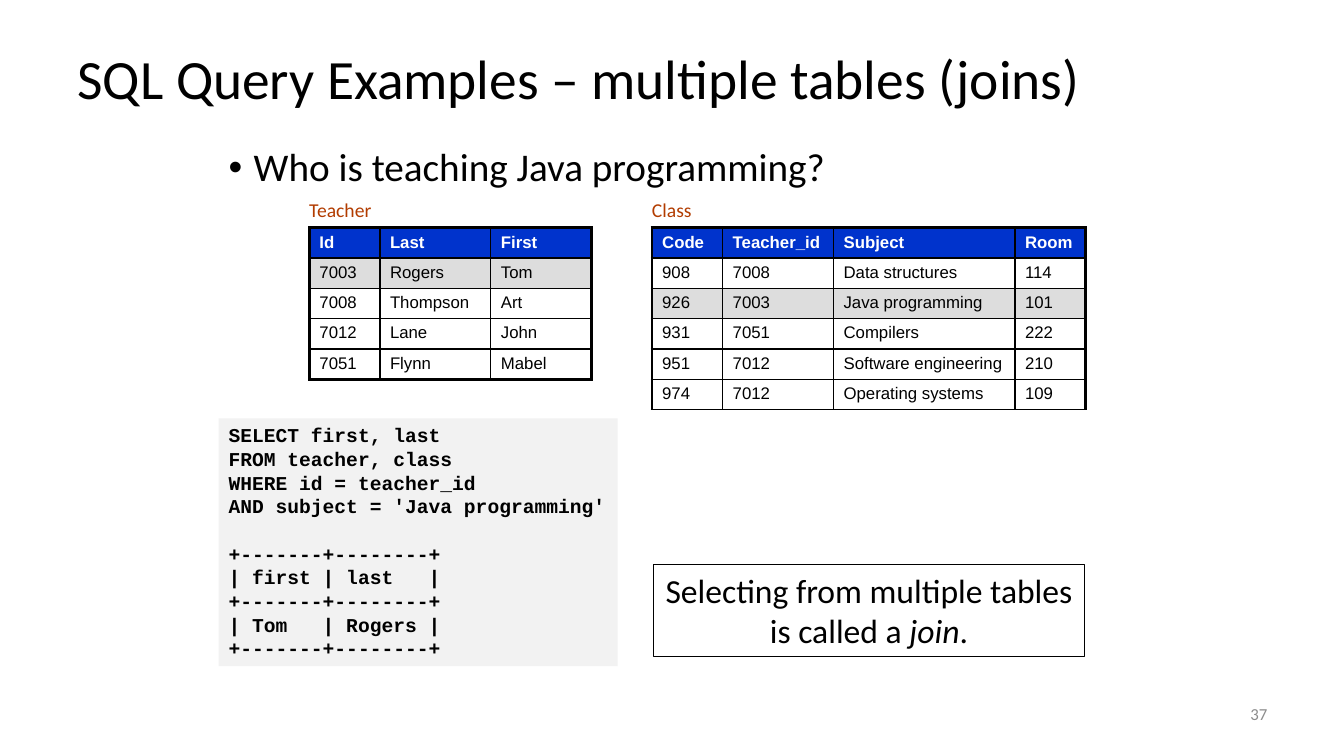
from dataclasses import dataclass

from lxml.etree import SubElement
from pptx import Presentation
from pptx.dml.color import RGBColor
from pptx.enum.shapes import MSO_SHAPE as Shape
from pptx.enum.text import MSO_ANCHOR as Anchor, PP_ALIGN as Align
from pptx.oxml.ns import qn
from pptx.util import Pt

TITLE = "SQL Query Examples – multiple tables (joins)"
QUESTION = "Who is teaching Java programming?"
PAGE = "37"
TABLES = [
    {
        "name": "Teacher", "left": 221, "widths": [50.4, 79.2, 72],
        "highlight": 1, "bottom": 2.25,
        "rows": [
            ("Id", "Last", "First"),
            ("7003", "Rogers", "Tom"),
            ("7008", "Thompson", "Art"),
            ("7012", "Lane", "John"),
            ("7051", "Flynn", "Mabel"),
        ],
    },
    {
        "name": "Class", "left": 465.8, "widths": [50.4, 79.2, 129.6, 50.4],
        "highlight": 2, "bottom": 1,
        "rows": [
            ("Code", "Teacher_id", "Subject", "Room"),
            ("908", "7008", "Data structures", "114"),
            ("926", "7003", "Java programming", "101"),
            ("931", "7051", "Compilers", "222"),
            ("951", "7012", "Software engineering", "210"),
            ("974", "7012", "Operating systems", "109"),
        ],
    },
]
QUERY = [
    "SELECT first, last",
    "FROM teacher, class",
    "WHERE id = teacher_id",
    "AND subject = 'Java programming'",
]
RULE = "+-------+--------+"
RESULT = [RULE, "| first | last   |", RULE, "| Tom   | Rogers |", RULE]
JOIN_NOTE = [
    [("Selecting from multiple tables", False)],
    [("is called a ", False), ("join", True), (".", False)],
]


@dataclass(frozen=True)
class Theme:
    black: str = "000000"
    white: str = "FFFFFF"
    header: str = "0033CC"
    highlight: str = "DDDDDD"
    caption: str = "B23C00"
    code_fill: str = "F2F2F2"
    page: str = "8C8C8C"
    body_font: str = "Calibri"
    table_font: str = "Arial"
    code_font: str = "Courier New"
    title_size: float = 39.6
    question_size: float = 28
    note_size: float = 24
    small_size: float = 14
    tiny_size: float = 12
    thick: float = 2.25
    thin: float = 1


T = Theme()
TABLE_TOP, ROW_HEIGHT = 162.7, 19.5
CODE_LINE = 16.9


def style(p, size, color=T.black, font=T.body_font, bold=False):
    for r in p.runs:
        r.font.size = Pt(size)
        r.font.name = font
        r.font.bold = bold
        r.font.color.rgb = RGBColor.from_string(color)


def place(s, left, top, width, height):
    s.left, s.top, s.width, s.height = map(Pt, (left, top, width, height))


def add_text(slide, box, text, size, color=T.black, wrap=True):
    s = slide.shapes.add_textbox(*map(Pt, box))
    s.text_frame.word_wrap = wrap
    s.text_frame.text = text
    p = s.text_frame.paragraphs[0]
    style(p, size, color)
    return s, p


def add_panel(slide, box, fill=None, line=None):
    s = slide.shapes.add_shape(Shape.RECTANGLE, *map(Pt, box))
    s.shadow.inherit = False
    if fill:
        s.fill.solid()
        s.fill.fore_color.rgb = RGBColor.from_string(fill)
    else:
        s.fill.background()
    if line:
        s.line.color.rgb = RGBColor.from_string(line)
        s.line.width = Pt(0.75)
    else:
        s.line.fill.background()
    tf = s.text_frame
    tf.word_wrap = False
    tf.vertical_anchor = Anchor.TOP
    return tf


def set_borders(cell, widths):
    """Draw the left, right, top and bottom edges, with widths in points."""
    props = cell._tc.get_or_add_tcPr()
    for index, (side, width) in enumerate(zip("LRTB", widths)):
        ln = props.makeelement(qn(f"a:ln{side}"), {"w": str(Pt(width))})
        fill = SubElement(ln, qn("a:solidFill"))
        SubElement(fill, qn("a:srgbClr"), val=T.black)
        props.insert(index, ln)


def add_data_table(slide, name, left, widths, highlight, bottom, rows):
    add_text(slide, (left - 7.2, 138.2, 60, 24.2), name,
             T.small_size, T.caption, wrap=False)
    last_row, last_col = len(rows) - 1, len(widths) - 1
    box = (left, TABLE_TOP, sum(widths), ROW_HEIGHT * len(rows))
    table = slide.shapes.add_table(len(rows), len(widths), *map(Pt, box)).table
    table.first_row = table.horz_banding = False
    for column, width in zip(table.columns, widths):
        column.width = Pt(width)
    fills = {0: T.header, highlight: T.highlight}
    for i, row in enumerate(rows):
        for j, value in enumerate(row):
            cell = table.cell(i, j)
            cell.text = value
            style(cell.text_frame.paragraphs[0], T.tiny_size,
                  T.white if i == 0 else T.black, T.table_font, bold=i == 0)
            if i in fills:
                cell.fill.solid()
                cell.fill.fore_color.rgb = RGBColor.from_string(fills[i])
            else:
                cell.fill.background()
            set_borders(cell, (
                T.thick if j == 0 else T.thin,
                T.thick if j == last_col else T.thin,
                T.thick if i == 0 else T.thin,
                bottom if i == last_row else T.thin,
            ))


def add_title(slide):
    s = slide.shapes.title
    place(s, 48.2, 32.4, 864, 51.8)
    tf = s.text_frame
    tf.text = TITLE
    tf.vertical_anchor = Anchor.MIDDLE
    p = tf.paragraphs[0]
    p.alignment = Align.LEFT
    p.line_spacing = 0.9
    style(p, T.title_size)


def add_question(slide):
    _, p = add_text(slide, (156.2, 102.2, 640.8, 38.2), QUESTION, T.question_size)
    props = p._p.get_or_add_pPr()
    props.set("marL", str(Pt(18)))
    props.set("indent", str(Pt(-18)))
    SubElement(props, qn("a:buFont"), typeface=T.table_font)
    SubElement(props, qn("a:buChar"), char="•")
    p.line_spacing = 0.9


def add_code(slide):
    tf = add_panel(slide, (156.2, 298.8, 285.1, 177.1), fill=T.code_fill)
    tf.text = "\n".join(QUERY + RESULT)
    for p in tf.paragraphs:
        p.alignment = Align.LEFT
        p.line_spacing = Pt(CODE_LINE)
        style(p, T.small_size, font=T.code_font, bold=True)
    tf.paragraphs[len(QUERY)].space_before = Pt(CODE_LINE)


def add_join_note(slide):
    tf = add_panel(slide, (466.6, 403.2, 308.2, 65.5), line=T.black)
    for i, runs in enumerate(JOIN_NOTE):
        p = tf.add_paragraph() if i else tf.paragraphs[0]
        p.alignment = Align.CENTER
        for text, italic in runs:
            r = p.add_run()
            r.text = text
            r.font.italic = italic
        style(p, T.note_size)


def main():
    prs = Presentation()
    prs.slide_width, prs.slide_height = Pt(960), Pt(540)
    slide = prs.slides.add_slide(prs.slide_layouts[5])
    add_title(slide)
    add_question(slide)
    for data in TABLES:
        add_data_table(slide, **data)
    add_code(slide)
    add_join_note(slide)
    s, p = add_text(slide, (712.1, 491.8, 200.2, 36), PAGE, T.tiny_size, T.page)
    s.text_frame.vertical_anchor = Anchor.MIDDLE
    p.alignment = Align.RIGHT
    prs.save("out.pptx")


if __name__ == "__main__":
    main()
